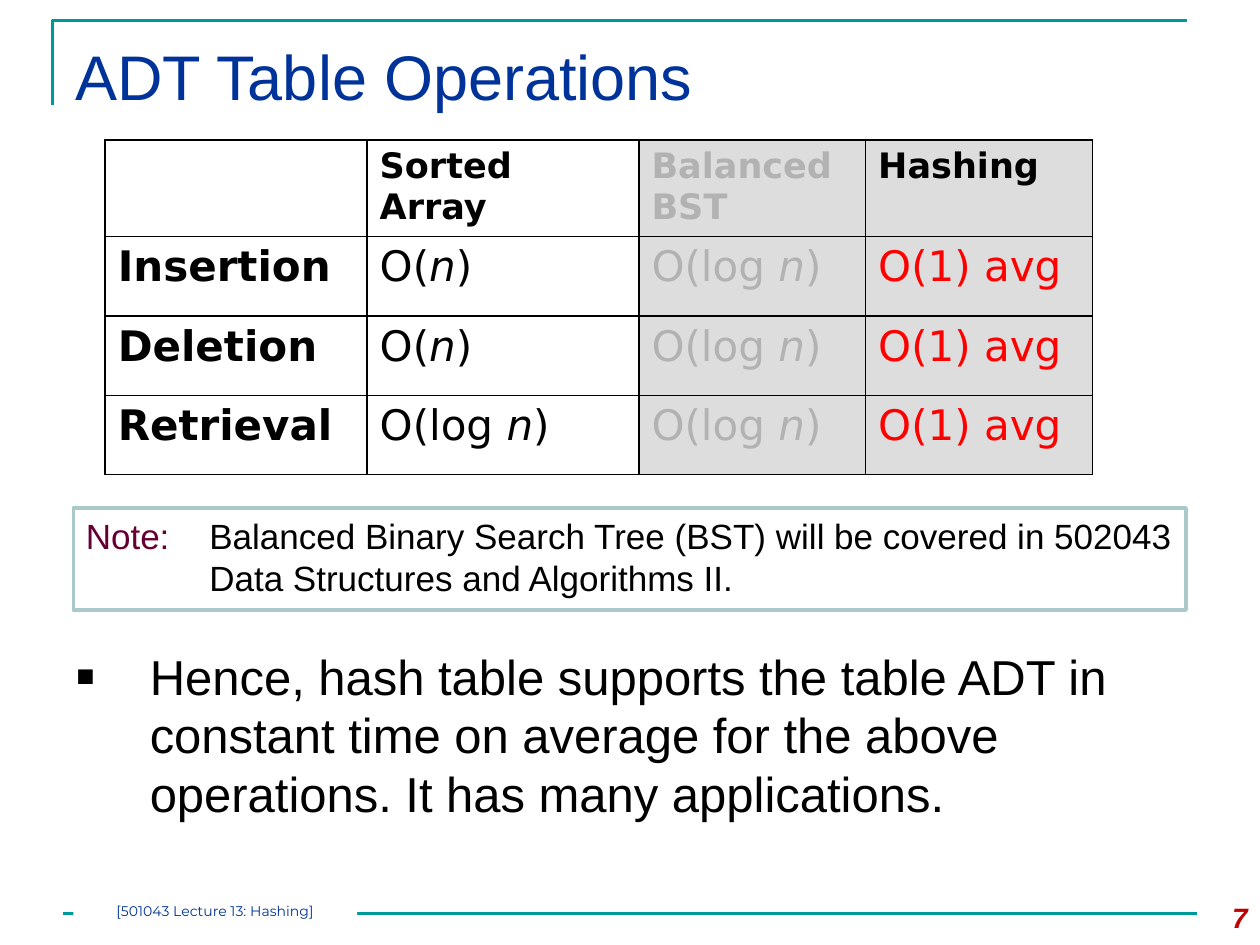
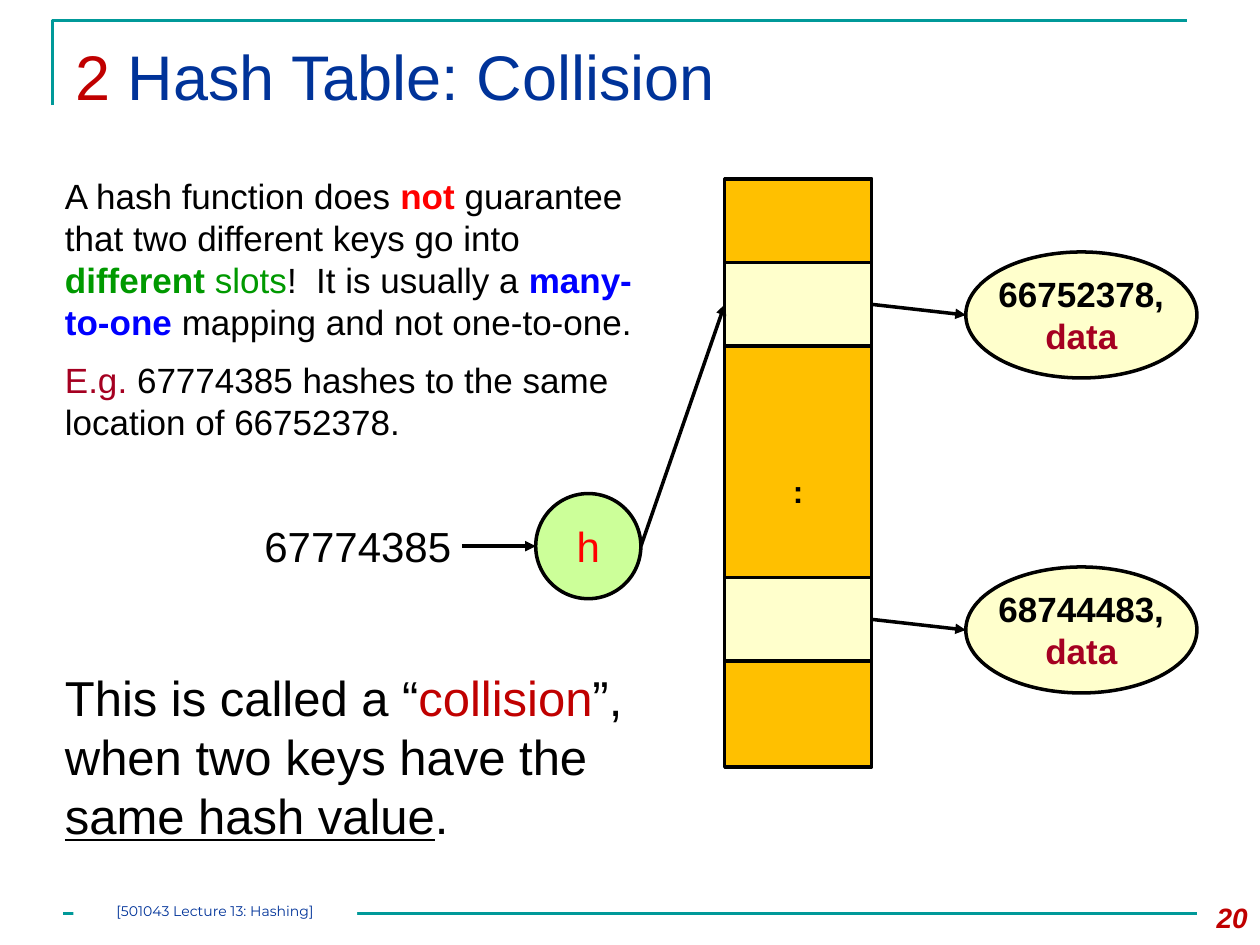
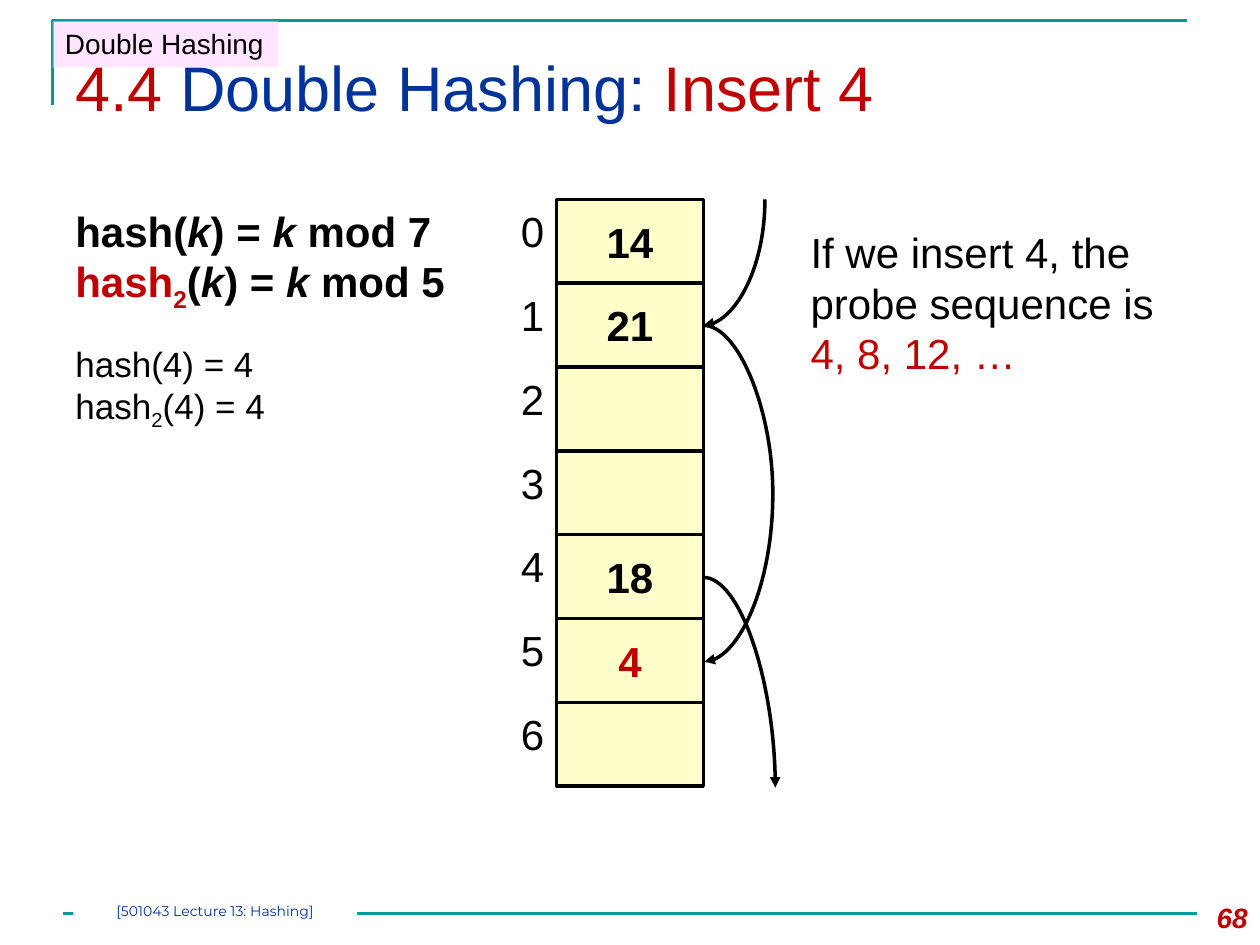
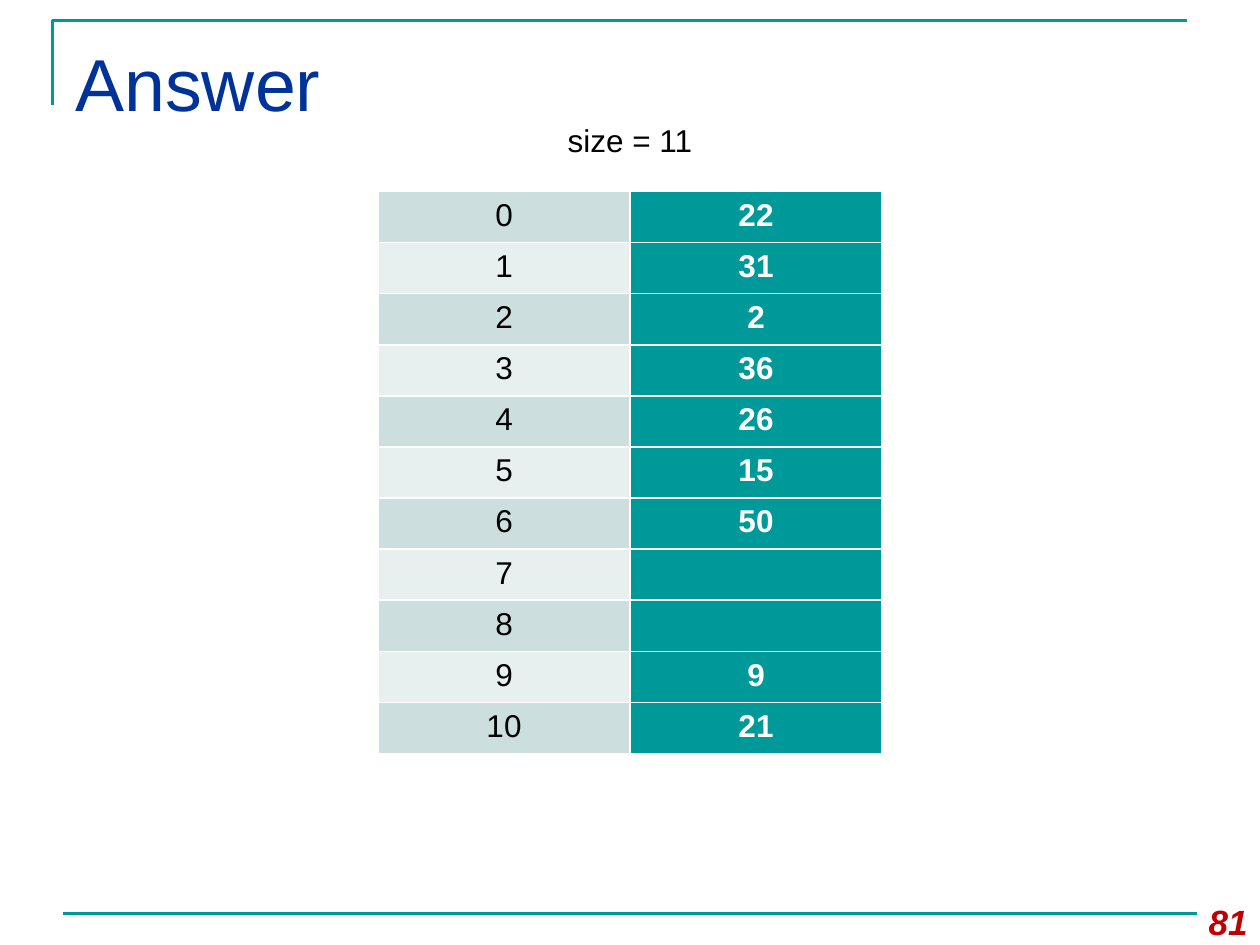
from lxml import etree
from pptx import Presentation
from pptx import util as u
from pptx.dml.color import RGBColor
from pptx.enum import shapes, text
from pptx.oxml import ns

COLORS = {
    "black": "000000", "white": "FFFFFF", "teal": "009999", "navy": "003399",
    "crimson": "C00000", "red": "FF0000", "wine": "A50021", "plum": "660033",
    "green": "009900", "blue": "0000FF", "dim": "B2B2B2", "shade": "DDDDDD",
    "note": "AACACA", "amber": "FFC000", "cream": "FFFFCC", "lime": "CCFF99",
    "pink": "FFCCFF", "band_dark": "CCDEDE", "band_light": "E7EFEF",
}
RGB = {name: RGBColor.from_string(value) for name, value in COLORS.items()}
LEFT, CENTER, RIGHT = text.PP_ALIGN.LEFT, text.PP_ALIGN.CENTER, text.PP_ALIGN.RIGHT
RECT, OVAL = shapes.MSO_SHAPE.RECTANGLE, shapes.MSO_SHAPE.OVAL
STRAIGHT, CURVE = shapes.MSO_CONNECTOR.STRAIGHT, shapes.MSO_CONNECTOR.CURVE


def block(slide, box, kind=None, fill=None, line=None):
    """Add a preset shape, or a text box when no kind is given; box is in cm."""
    box = [u.Cm(length) for length in box]
    if kind is None:
        return slide.shapes.add_textbox(*box)
    shape = slide.shapes.add_shape(kind, *box)
    shape.shadow.inherit = False
    shape.fill.solid()
    shape.fill.fore_color.rgb = RGB[fill]
    if line:
        shape.line.color.rgb = RGB[line]
        shape.line.width = u.Pt(2)
    else:
        shape.line.fill.background()
    return shape


def write(frame, paragraphs, size, color="black", flags="", align=LEFT,
          face="Arial", wrap=True, anchor=text.MSO_ANCHOR.TOP):
    """Each paragraph is a list of (words, colour, flags); flags: b, i, u, _ (subscript)."""
    frame.word_wrap = wrap
    frame.vertical_anchor = anchor
    for index, runs in enumerate(paragraphs):
        paragraph = frame.add_paragraph() if index else frame.paragraphs[0]
        paragraph.alignment = align
        styled = [(paragraph.font, color, flags)]
        for words, run_color, run_flags in runs:
            run = paragraph.add_run()
            run.text = words
            styled.append((run.font, run_color or color, run_flags))
            if "_" in run_flags:
                run._r.get_or_add_rPr().set("baseline", "-25000")
        for font, font_color, font_flags in styled:
            font.name, font.size = face, u.Pt(size)
            font.color.rgb = RGB[font_color]
            font.bold, font.italic = "b" in font_flags, "i" in font_flags
            font.underline = "u" in font_flags


MIDDLE = {"align": CENTER, "wrap": False, "anchor": text.MSO_ANCHOR.MIDDLE}

deck = Presentation()
deck.slide_width, deck.slide_height = u.Cm(25.4), u.Cm(19.05)
lines, arrows, cells = [], [], []

# Shared frame: corner rule, footer rule, title, page number, footer label
pages = [
    (7, 16, 36, 0.64, [("ADT Table Operations", "navy", "")]),
    (20, 16, 36, 0.64, [("2 ", "crimson", ""), ("Hash Table: Collision", "navy", "")]),
    (68, 16, 36, 0.85, [("4.4 ", "crimson", ""), ("Double Hashing: ", "navy", ""),
                        ("Insert 4", "crimson", "")]),
    (81, 20, 42, 0.64, [("Answer", "navy", "")]),
]
slides = []
for number, number_size, title_size, title_top, title in pages:
    slide = deck.slides.add_slide(deck.slide_layouts[6])
    slides.append(slide)
    outline = slide.shapes.build_freeform(u.Cm(1.06), u.Cm(2.12))
    outline.add_line_segments([(u.Cm(1.06), u.Cm(0.42)), (u.Cm(23.92), u.Cm(0.42))], close=False)
    corner = outline.convert_to_shape()
    corner.shadow.inherit = False
    corner.fill.background()
    footer_rule = slide.shapes.add_connector(
        STRAIGHT, u.Cm(1.27), u.Cm(18.41), u.Cm(24.13), u.Cm(18.41))
    lines.append(footer_rule)
    for rule in (corner, footer_rule):
        rule.line.color.rgb = RGB["teal"]
        rule.line.width = u.Pt(1.5)
    write(block(slide, (1.27, title_top, 22.86, 2.2)).text_frame, [title], title_size)
    write(block(slide, (23.7, 18.03, 1.7, 1.02)).text_frame,
          [[(str(number), None, "bi")]], number_size, "crimson", "bi", RIGHT)
    if number != 81:
        label = block(slide, (1.48, 18.2, 5.72, 0.43), RECT, "white").text_frame
        label.margin_left = label.margin_right = label.margin_top = label.margin_bottom = 0
        write(label, [[("[501043 Lecture 13: Hashing]", None, "")]], 8, "navy",
              align=CENTER, face="Montserrat")
operations, collision, double_hashing, answer = slides

# Operations: cost table
log_n = [("O(log ", None, ""), ("n", None, "i"), (")", None, "")]
linear = [("O(", None, ""), ("n", None, "i"), (")", None, "")]
constant = [("O(1) avg", "red", "")]
costs = [[[]] + [[(name, None, "b")] for name in ("Sorted Array", "Balanced BST", "Hashing")]]
for name, sorted_cost in (("Insertion", linear), ("Deletion", linear), ("Retrieval", log_n)):
    costs.append([[(name, None, "b")], sorted_cost, log_n, constant])
cost_table = operations.shapes.add_table(
    4, 4, u.Cm(2.12), u.Cm(2.82), u.Cm(19.9), u.Cm(6.7)).table
for column, width in zip(cost_table.columns, (5.28, 5.48, 4.57, 4.57)):
    column.width = u.Cm(width)
for row, height in zip(cost_table.rows, (1.9, 1.6, 1.6, 1.6)):
    row.height = u.Cm(height)
for r, row in enumerate(costs):
    for c, runs in enumerate(row):
        cell = cost_table.cell(r, c)
        write(cell.text_frame, [runs], 24 if r else 20, "dim" if c == 2 else "black",
              face="DejaVu Sans")
        cells.append((cell, "shade" if c > 1 else "white", "black"))

# Operations: note and conclusion
note = block(operations, (1.48, 10.24, 22.43, 2.06), RECT, "white", "note").text_frame
write(note, [[("Note:\t", "plum", ""),
              ("Balanced Binary Search Tree (BST) will be covered in 502043 "
               "Data Structures and Algorithms II.", None, "")]], 20)
conclusion = block(operations, (1.27, 12.9, 22.86, 3.81)).text_frame
write(conclusion, [[("Hence, hash table supports the table ADT in constant time on average "
                     "for the above operations. It has many applications.", None, "")]], 28)
for frame, indent in ((note, 2.49), (conclusion, 1.5)):
    layout = frame.paragraphs[0]._p.get_or_add_pPr()
    layout.set("marL", str(u.Cm(indent)))
    layout.set("indent", str(-u.Cm(indent)))
bullet = conclusion.paragraphs[0]._p.pPr
for position, (tag, key, value) in enumerate((
        ("a:buSzPct", "val", "120000"), ("a:buFont", "typeface", "Arial"),
        ("a:buChar", "char", "▪"))):
    mark = etree.Element(ns.qn(tag))
    mark.set(key, value)
    bullet.insert(position, mark)

# Collision: hash table column with its two filled slots
column = block(collision, (14.61, 3.61, 2.96, 11.85), RECT, "amber", "black").text_frame
column.margin_top = u.Cm(0.85)
write(column, [[(":", None, "b")]], 18, flags="b", **MIDDLE)
block(collision, (14.61, 3.61, 2.96, 1.69), RECT, "amber", "black")
slots = []
for slot_top, key in ((5.29, "66752378,"), (11.64, "68744483,")):
    record = block(collision, (19.47, slot_top - 0.21, 4.66, 2.54), OVAL, "cream", "black")
    write(record.text_frame, [[(key, None, "b")], [("data", "wine", "b")]], 20, flags="b", **MIDDLE)
    slot = block(collision, (14.61, slot_top, 2.96, 1.69), RECT, "cream", "black")
    slots.append(slot)
    to_record = collision.shapes.add_connector(
        STRAIGHT, u.Cm(17.57), u.Cm(slot_top + 0.85), u.Cm(19.47), u.Cm(slot_top + 1.06))
    to_record.begin_connect(slot, 3)
    arrows.append(to_record)

# Collision: key going through the hash function
write(block(collision, (5.08, 10.36, 4.32, 1.27)).text_frame, [[("67774385", None, "")]], 24,
      wrap=False)
hasher = block(collision, (10.8, 9.95, 2.12, 2.12), OVAL, "lime", "black")
write(hasher.text_frame, [[("h", None, "")]], 24, "red", **MIDDLE)
to_hasher = collision.shapes.add_connector(
    STRAIGHT, u.Cm(9.31), u.Cm(11.01), u.Cm(10.8), u.Cm(11.01))
to_slot = collision.shapes.add_connector(
    STRAIGHT, u.Cm(12.92), u.Cm(11.01), u.Cm(14.61), u.Cm(6.14))
to_slot.end_connect(slots[0], 1)
arrows += [to_hasher, to_slot]

# Collision: explanation
explanation = block(collision, (1.06, 3.39, 12.7, 5.82)).text_frame
write(explanation, [
    [("A hash function does ", None, ""), ("not ", "red", "b"),
     ("guarantee that two different keys go into ", None, ""),
     ("different", "green", "b"), (" slots", "green", ""),
     ("!  It is usually a ", None, ""), ("many-to-one", "blue", "b"),
     (" mapping and not one-to-one.", None, "")],
    [("E.g.", "wine", ""),
     (" 67774385 hashes to the same location of 66752378.", None, "")],
], 20)
explanation.paragraphs[1].space_before = u.Pt(9)
write(block(collision, (1.06, 13.34, 12.75, 3.84)).text_frame, [
    [("This is called a “", None, ""), ("collision", "crimson", ""),
     ("”, when two keys have the ", None, ""), ("same hash value", None, "u"),
     (".", None, "")]], 28)

# Double hashing: section tag
tag = block(double_hashing, (1.06, 0.42, 4.55, 0.94), RECT, "pink")
write(tag.text_frame, [[("Double Hashing", None, "")]], 16, wrap=False)
tint = tag.fill._xPr.find(ns.qn("a:solidFill"))[0]
etree.SubElement(tint, ns.qn("a:alpha")).set("val", "50000")

# Double hashing: table of seven slots
for index, key in enumerate(("14", "21", "", "", "18", "4", "")):
    top = 4.02 + 1.69 * index
    write(block(double_hashing, (9.74, top, 1.48, 1.27)).text_frame,
          [[(str(index), None, "")]], 24, align=RIGHT)
    slot = block(double_hashing, (11.22, top, 2.96, 1.69), RECT, "cream", "black")
    if key:
        write(slot.text_frame, [[(key, None, "b")]], 24,
              "crimson" if key == "4" else "black", "b", **MIDDLE)

# Double hashing: probe jumps (preset, start, end, quarter turns)
for preset, x1, y1, x2, y2, turns in (
        ("curvedConnector2", 14.18, 11.64, 15.63, 15.88, 0),
        ("curvedConnector2", 13.53, 4.67, 16.07, 5.91, 1),
        ("curvedConnector3", 14.18, 6.56, 14.2, 13.34, 0)):
    jump = double_hashing.shapes.add_connector(CURVE, u.Cm(x1), u.Cm(y1), u.Cm(x2), u.Cm(y2))
    properties = jump._element.spPr
    geometry = properties.find(ns.qn("a:prstGeom"))
    geometry.set("prst", preset)
    if turns:
        properties.find(ns.qn("a:xfrm")).set("rot", str(turns * 5400000))
    if preset == "curvedConnector3":
        bulge = etree.SubElement(geometry.find(ns.qn("a:avLst")), ns.qn("a:gd"))
        bulge.set("name", "adj1")
        bulge.set("fmla", "val 7000000")
    arrows.append(jump)

# Double hashing: formulas and probe sequence
write(block(double_hashing, (1.27, 4.02, 8.26, 2.31)).text_frame, [
    [("hash(", None, "b"), ("k", None, "bi"), (") = ", None, "b"),
     ("k", None, "bi"), (" mod 7", None, "b")],
    [("hash", "crimson", "b"), ("2", "crimson", "b_"), ("(", None, "b"),
     ("k", None, "bi"), (") = ", None, "b"), ("k", None, "bi"), (" mod 5", None, "b")],
], 24, flags="b")
write(block(double_hashing, (1.27, 6.77, 4.4, 1.96)).text_frame, [
    [("hash(4) = 4", None, "")],
    [("hash", None, ""), ("2", None, "_"), ("(4) = 4", None, "")],
], 20, wrap=False)
write(block(double_hashing, (16.09, 4.45, 7.62, 3.33)).text_frame, [
    [("If we insert 4, the probe sequence is ", None, ""), ("4, 8, 12, …", "crimson", "")]], 24)

# Answer: final table
write(block(answer, (8.51, 2.31, 8.38, 1.02)).text_frame, [[("size = 11", None, "")]], 18,
      align=CENTER)
keys = ["22", "31", "2", "36", "26", "15", "50", "", "", "9", "21"]
key_table = answer.shapes.add_table(
    len(keys), 2, u.Cm(7.62), u.Cm(3.86), u.Cm(10.16), u.Cm(1.03 * len(keys))).table
for index, key in enumerate(keys):
    slot_number, slot_key = key_table.cell(index, 0), key_table.cell(index, 1)
    write(slot_number.text_frame, [[(str(index), None, "")]], 18, align=CENTER)
    write(slot_key.text_frame, [[(key, None, "b")] if key else []], 18, "white", "b", CENTER)
    cells.append((slot_number, "band_light" if index % 2 else "band_dark", "white"))
    cells.append((slot_key, "teal", "white"))

# Cell borders first, then fills
for table in (cost_table, key_table):
    table.first_row = table.horz_banding = False
for cell, fill, border in cells:
    properties = cell._tc.get_or_add_tcPr()
    for side in ("a:lnL", "a:lnR", "a:lnT", "a:lnB"):
        edge = etree.SubElement(properties, ns.qn(side))
        edge.set("w", str(u.Pt(1)))
        paint = etree.SubElement(edge, ns.qn("a:solidFill"))
        etree.SubElement(paint, ns.qn("a:srgbClr")).set("val", COLORS[border])
    cell.fill.solid()
    cell.fill.fore_color.rgb = RGB[fill]

# Arrowheads, and no shadow on any connector
for arrow in arrows:
    arrow.line.color.rgb = RGB["black"]
    arrow.line.width = u.Pt(2)
    etree.SubElement(arrow.line._get_or_add_ln(), ns.qn("a:tailEnd")).set("type", "triangle")
for connector in lines + arrows:
    etree.SubElement(connector._element.spPr, ns.qn("a:effectLst"))

deck.save("out.pptx")
